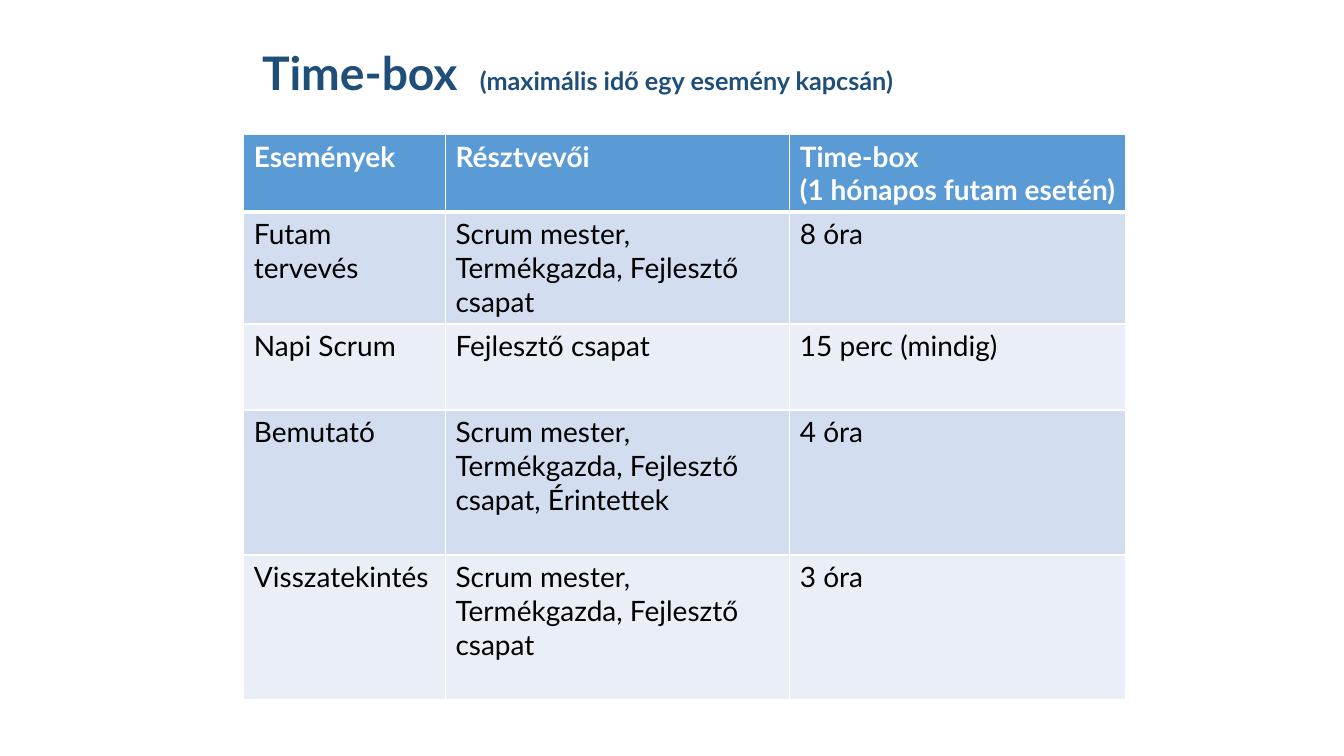
import pptx
import pptx.dml.color
import pptx.enum.text
import pptx.oxml
import pptx.oxml.ns
import pptx.util
from lxml import etree

Pt = pptx.util.Pt
qn = pptx.oxml.ns.qn

HEADER = ("Események", "Résztvevői", "Time-box\n(1 hónapos futam esetén)")
EVENTS = (
    ("Futam tervevés", "Scrum mester, Termékgazda, Fejlesztő csapat", "8 óra"),
    ("Napi Scrum", "Fejlesztő csapat", "15 perc (mindig)"),
    ("Bemutató", "Scrum mester, Termékgazda, Fejlesztő csapat, Érintettek", "4 óra"),
    ("Visszatekintés", "Scrum mester, Termékgazda, Fejlesztő csapat", "3 óra"),
)
COL_WIDTHS = (144, 246, 240)
ROW_HEIGHTS = (54, 80, 61.4, 103.6, 103.6)


def rgb(value):
    return pptx.dml.color.RGBColor.from_string(value)


class Deck:
    font = "Lato"
    title_color = "1F4E79"
    header_fill = "5B9BD5"
    band_fills = ("D2DEEF", "EAEFF7")
    border_color = "FFFFFF"

    def __init__(self, prs):
        self.s = prs.slides.add_slide(prs.slide_layouts[5])

    def run(self, p, text, size, color, bold=False):
        r = p.add_run()
        r.text = text
        r.font.name = self.font
        r.font.size = Pt(size)
        r.font.bold = bold
        r.font.color.rgb = rgb(color)

    def title(self, text, note, left, top, width, height, note_at):
        """Place the title, with a smaller note at a tab stop."""
        sp = self.s.shapes.title
        sp.left, sp.top, sp.width, sp.height = map(Pt, (left, top, width, height))
        tf = sp.text_frame
        tf.word_wrap = True
        tf.auto_size = pptx.enum.text.MSO_AUTO_SIZE.NONE
        tf.vertical_anchor = pptx.enum.text.MSO_ANCHOR.TOP
        p = tf.paragraphs[0]
        p.alignment = pptx.enum.text.PP_ALIGN.LEFT
        tabs = etree.SubElement(p._p.get_or_add_pPr(), qn("a:tabLst"))
        etree.SubElement(tabs, qn("a:tab"), pos=str(Pt(note_at)), algn="l")
        self.run(p, text + "\t", 33, self.title_color, True)
        self.run(p, note, 18, self.title_color, True)

    def border(self, cell, side, width):
        ln = etree.SubElement(cell._tc.get_or_add_tcPr(), qn("a:ln" + side), w=str(Pt(width)))
        fill = etree.SubElement(ln, qn("a:solidFill"))
        etree.SubElement(fill, qn("a:srgbClr"), val=self.border_color)

    def cell(self, cell, text, fill, color, bold, top_border, bottom_border):
        for side, width in (("L", 1), ("R", 1), ("T", top_border), ("B", bottom_border)):
            self.border(cell, side, width)
        cell.fill.solid()
        cell.fill.fore_color.rgb = rgb(fill)
        tf = cell.text_frame
        for i, line in enumerate(text.split("\n")):
            p = tf.add_paragraph() if i else tf.paragraphs[0]
            self.run(p, line, 20, color, bold)

    def table(self, rows, left, top, widths, heights):
        frame = self.s.shapes.add_table(
            len(rows), len(widths), Pt(left), Pt(top), Pt(sum(widths)), Pt(sum(heights)))
        table = frame.table
        for column, width in zip(table.columns, widths):
            column.width = Pt(width)
        for i, (row, height, texts) in enumerate(zip(table.rows, heights, rows)):
            row.height = Pt(height)
            head = i == 0
            fill = self.header_fill if head else self.band_fills[(i - 1) % 2]
            for cell, text in zip(row.cells, texts):
                self.cell(cell, text, fill, "FFFFFF" if head else "000000", head,
                          3 if i == 1 else 1, 3 if head else 1)


def main():
    prs = pptx.Presentation()
    prs.slide_width, prs.slide_height = Pt(960), Pt(540)
    deck = Deck(prs)
    deck.title("Time-box", "(maximális idő egy esemény kapcsán)", 180, 28, 606, 66, 155.5)
    deck.table((HEADER,) + EVENTS, 174.2, 96, COL_WIDTHS, ROW_HEIGHTS)
    prs.save("out.pptx")


if __name__ == "__main__":
    main()
